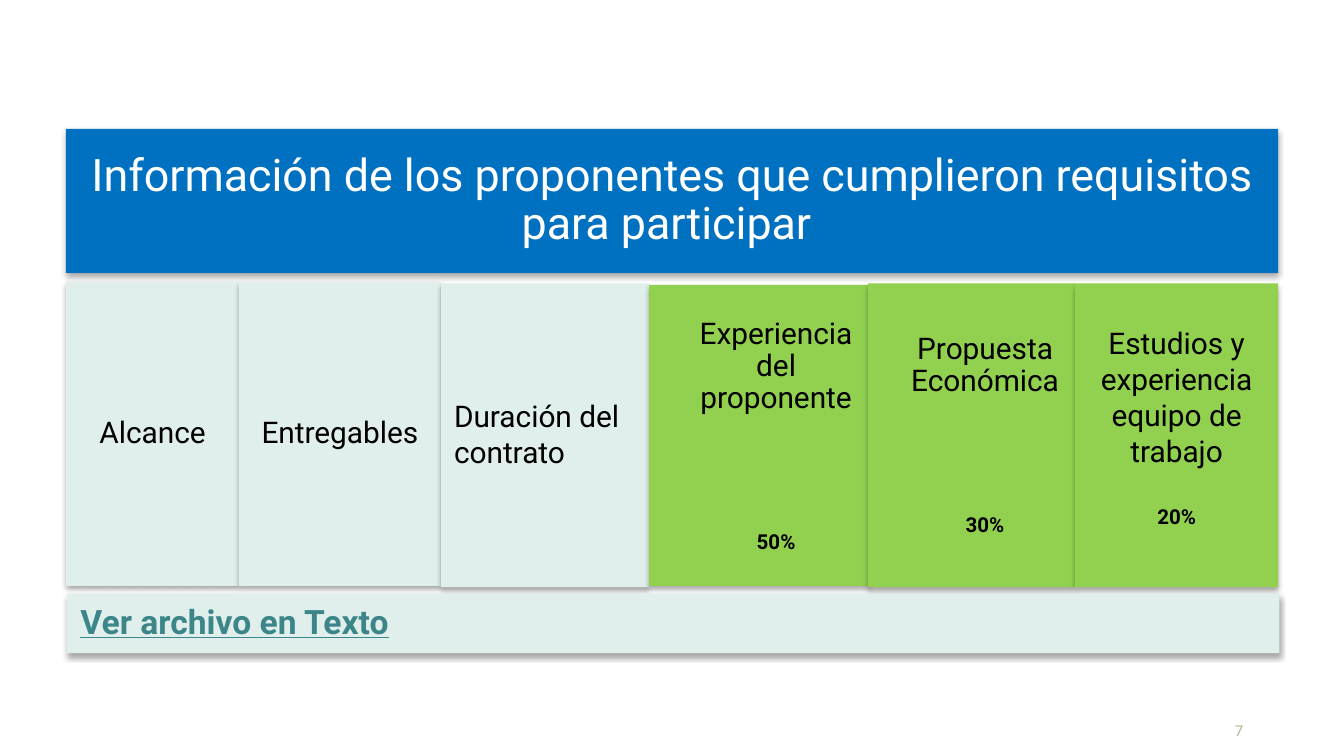
"""Build the slide that lists the information about the qualified bidders."""
import pptx
import pptx.dml.color
import pptx.enum.shapes
import pptx.enum.text
import pptx.oxml
import pptx.oxml.ns
import pptx.util

Inches = pptx.util.Inches
Pt = pptx.util.Pt
ALIGN = pptx.enum.text.PP_ALIGN
ANCHOR = pptx.enum.text.MSO_ANCHOR

FONT = "Roboto"
BLUE, PALE, GREEN = "0070C0", "E0EFEC", "92D050"
BLACK, WHITE, TEAL, SAND = "000000", "FFFFFF", "3C8689", "BCB296"
SHADOW = (
    '<a:effectLst %s><a:outerShdw blurRad="%d" dist="%d" dir="5400000" rotWithShape="0">'
    '<a:srgbClr val="000000"><a:alpha val="35000"/></a:srgbClr>'
    "</a:outerShdw></a:effectLst>"
)


def rgb(value):
    """Return the colour for a hex string."""
    return pptx.dml.color.RGBColor.from_string(value)


def place(box, left, top, width, height):
    """Put a box at a position given in inches."""
    box.left, box.top = Inches(left), Inches(top)
    box.width, box.height = Inches(width), Inches(height)


def paint(box, fill):
    """Give a box a flat fill and a soft shadow below it."""
    box.fill.solid()
    box.fill.fore_color.rgb = rgb(fill)
    box.line.fill.background()
    properties = box._element.spPr
    for effects in properties.findall(pptx.oxml.ns.qn("a:effectLst")):
        properties.remove(effects)
    xml = SHADOW % (pptx.oxml.ns.nsdecls("a"), Pt(3.1), Pt(1.8))
    properties.append(pptx.oxml.parse_xml(xml))


def frame_text(box, anchor=ANCHOR.TOP, insets=(0.1, 0.05, 0.1, 0.05)):
    """Set the wrapping, anchor and insets of a box and return its frame."""
    frame = box.text_frame
    frame.word_wrap = True
    frame.auto_size = pptx.enum.text.MSO_AUTO_SIZE.NONE
    frame.vertical_anchor = anchor
    frame.margin_left, frame.margin_top, frame.margin_right, frame.margin_bottom = map(Inches, insets)
    return frame


def write(para, text, size=16, color=BLACK, bold=False, underline=False,
          align=ALIGN.CENTER, spacing=1.0, before=0):
    """Write one formatted span into a paragraph."""
    para.alignment = align
    para.line_spacing = spacing
    para.space_before = Pt(before)
    span = para.add_run()
    span.text = text
    span.font.name = FONT
    span.font.size = Pt(size)
    span.font.bold = bold
    span.font.underline = underline
    span.font.color.rgb = rgb(color)


def add_panel(page, left, top, width, height, fill):
    """Add a shadowed rectangle."""
    kind = pptx.enum.shapes.MSO_SHAPE.RECTANGLE
    box = page.shapes.add_shape(kind, 0, 0, 0, 0)
    place(box, left, top, width, height)
    paint(box, fill)
    return box


def add_banner(page):
    """Format the title as the blue banner."""
    box = page.shapes.title
    place(box, 0.49, 0.96, 9.02, 1.07)
    paint(box, BLUE)
    frame = frame_text(box, ANCHOR.MIDDLE, (0.15,) * 4)
    write(frame.paragraphs[0], "Información de los proponentes que cumplieron requisitos para participar ",
          size=24, color=WHITE, spacing=0.9)


def add_topic(page, text, left, top, width, align=ALIGN.CENTER, spacing=1.0, **layout):
    """Add a pale panel for a topic without a weight."""
    box = add_panel(page, left, top, width, 2.26, PALE)
    write(frame_text(box, **layout).paragraphs[0], text, align=align, spacing=spacing)


def add_criterion(page, text, weight, left, top, width, height, insets, spacing, gap):
    """Add a green panel with a criterion and its weight."""
    box = add_panel(page, left, top, width, height, GREEN)
    frame = frame_text(box, insets=insets)
    write(frame.paragraphs[0], text, spacing=spacing)
    write(frame.add_paragraph(), weight, size=11, bold=True, spacing=spacing, before=gap)


def main():
    """Build and save the deck."""
    deck = pptx.Presentation()
    deck.slide_width = Inches(10)
    deck.slide_height = deck.slide_width * 9 // 16
    page = deck.slides.add_slide(deck.slide_layouts[5])
    add_banner(page)

    centred = {"anchor": ANCHOR.MIDDLE, "insets": (0.07,) * 4, "spacing": 0.9}
    add_topic(page, "Alcance", 0.49, 2.1, 1.29, **centred)
    add_topic(page, "Entregables", 1.78, 2.1, 1.5, **centred)
    add_topic(page, "Duración del contrato", 3.28, 2.11, 1.55,
              insets=(0.1, 0.85, 0.1, 0.05), align=ALIGN.LEFT)

    add_criterion(page, "Experiencia del proponente", "50%", 4.83, 2.12, 1.64, 2.24,
                  (0.32, 0.25, 0.07, 0.07), 0.9, 62.5)
    add_criterion(page, "Propuesta Económica", "30%", 6.46, 2.11, 1.54, 2.26,
                  (0.27, 0.37, 0.07, 0.07), 0.9, 62.5)
    add_criterion(page, "Estudios y experiencia equipo de trabajo", "20%", 8, 2.11, 1.51, 2.26,
                  (0.1, 0.31, 0.1, 0.05), 1.0, 19.3)

    footer = add_panel(page, 0.5, 4.42, 9.02, 0.44, PALE)
    write(frame_text(footer).paragraphs[0], "Ver archivo en Texto", size=18, color=TEAL,
          bold=True, underline=True, align=ALIGN.LEFT)

    number = page.shapes.add_textbox(Inches(8.93), Inches(5.37), Inches(0.32), Inches(0.13))
    write(frame_text(number, ANCHOR.BOTTOM, (0,) * 4).paragraphs[0], "7", size=8,
          color=SAND, align=ALIGN.RIGHT)
    deck.save("out.pptx")


main()
